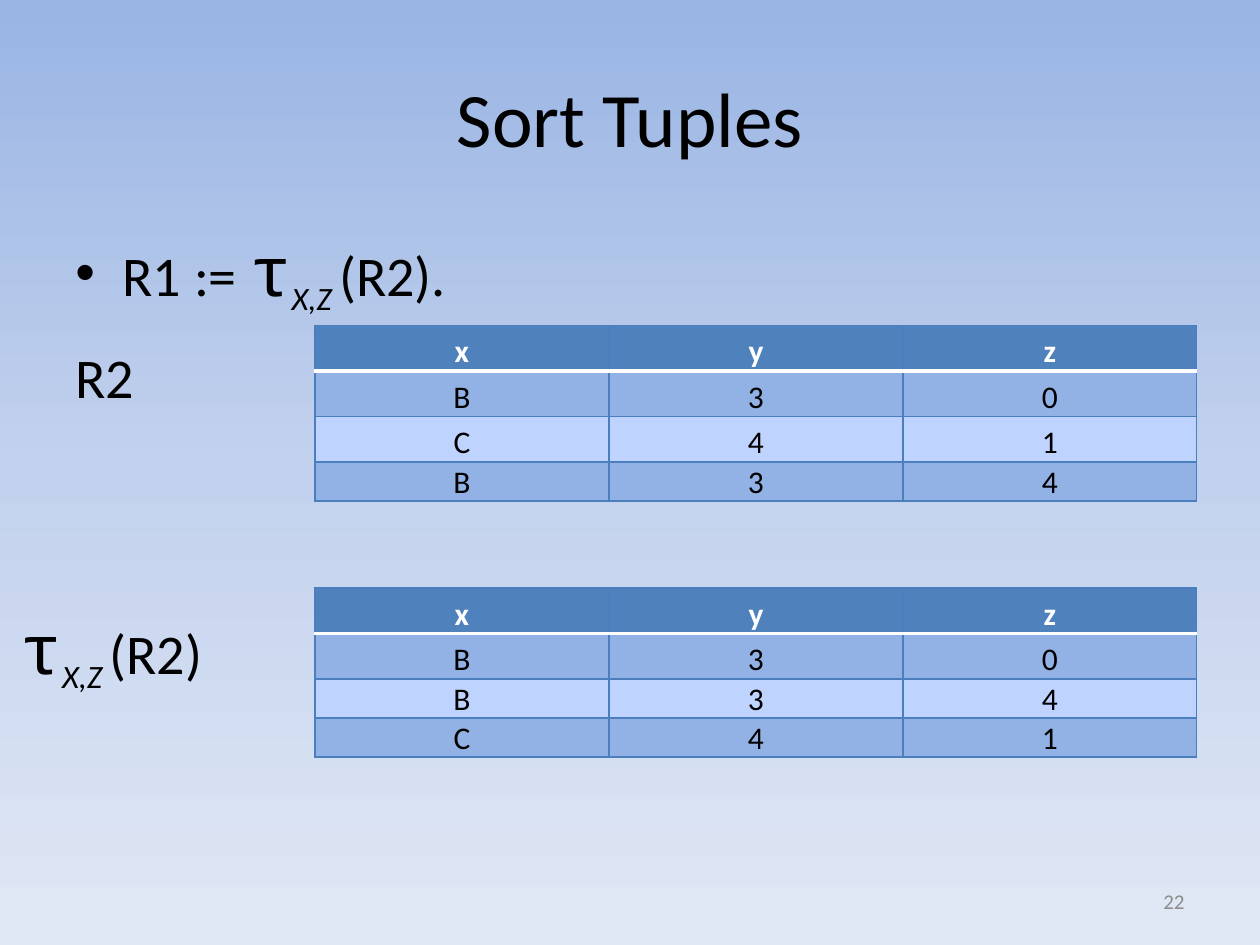
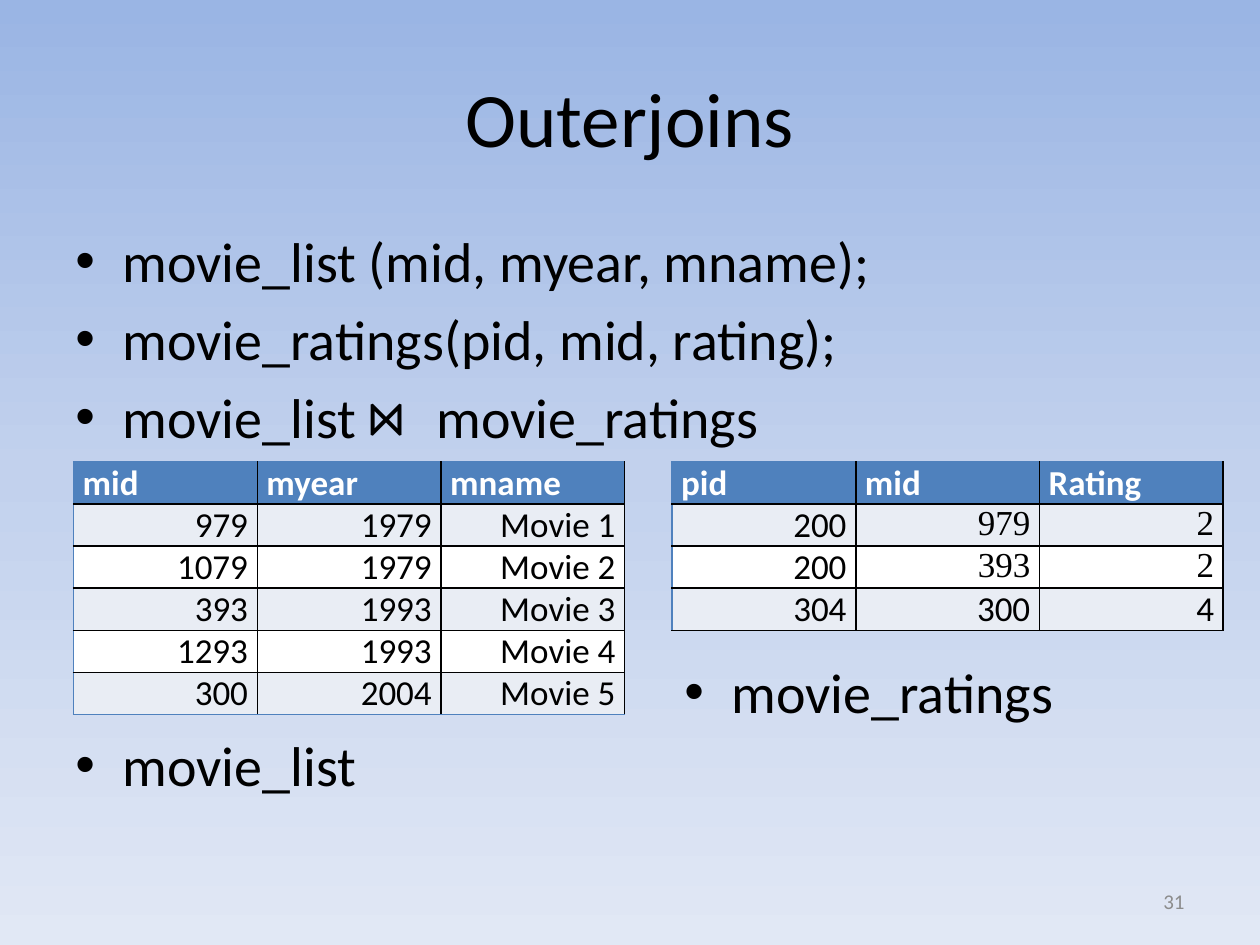
from copy import deepcopy

from lxml import etree
from pptx import Presentation
from pptx.dml.color import RGBColor
from pptx.enum import text as t
from pptx.oxml import ns
from pptx.util import Pt

BLACK = RGBColor(0, 0, 0)
WHITE = RGBColor(255, 255, 255)
GRAY = RGBColor(0x8C, 0x8C, 0x8C)
BLUE = RGBColor(0x4F, 0x81, 0xBD)
EDGE_BLUE = RGBColor(0x4B, 0x7E, 0xBC)
BAND_DARK = RGBColor(0x92, 0xB2, 0xE5)
BAND_LIGHT = RGBColor(0xBF, 0xD3, 0xFF)
PALE = RGBColor(0xE9, 0xED, 0xF4)
SKY = [RGBColor(0x9A, 0xB5, 0xE4), RGBColor(0xC2, 0xD1, 0xED), RGBColor(0xE1, 0xE8, 0xF5)]

FONT, SYMBOL_FONT, SERIF_FONT = "Calibri", "Courier New", "Times New Roman"
LEFT, CENTER, RIGHT = t.PP_ALIGN.LEFT, t.PP_ALIGN.CENTER, t.PP_ALIGN.RIGHT
TOP, MIDDLE, BOTTOM = t.MSO_ANCHOR.TOP, t.MSO_ANCHOR.MIDDLE, t.MSO_ANCHOR.BOTTOM

# The sort operator with its subscript, used in the body and as a label
SORT = [("τ", dict(font=SYMBOL_FONT, size=40)), ("X,Z ", dict(italic=True, baseline=-25))]


def add_span(para, words, font=FONT, size=32, color=BLACK, bold=False, italic=False, baseline=0):
    span = para.add_run()
    span.text = words
    span.font.name, span.font.size = font, Pt(size)
    span.font.color.rgb = color
    span.font.bold, span.font.italic = bold, italic
    if baseline:
        span.font._element.set("baseline", str(baseline * 1000))


def add_bullet(para):
    props = para._p.get_or_add_pPr()
    props.set("marL", str(Pt(27)))
    props.set("indent", str(-Pt(27)))
    etree.SubElement(props, ns.qn("a:buFont")).set("typeface", "Arial")
    etree.SubElement(props, ns.qn("a:buChar")).set("char", "•")


def add_text(page, box, paras, align=LEFT, anchor=TOP, before=6, bullet=False, **style):
    """Each paragraph is a string or a list of (words, format) pairs."""
    frame = page.shapes.add_textbox(*map(Pt, box)).text_frame
    frame.word_wrap = True
    frame.vertical_anchor = anchor
    for index, spans in enumerate(paras):
        para = frame.add_paragraph() if index else frame.paragraphs[0]
        para.alignment, para.space_before = align, Pt(before)
        if bullet:
            add_bullet(para)
        for words, own in [(spans, {})] if isinstance(spans, str) else spans:
            add_span(para, words, **{**style, **own})


def set_edges(cell, edges):
    """Edges maps L, R, T and B to (color, width)."""
    props = cell._tc.get_or_add_tcPr()
    for side in "LRTB":
        color, width = edges[side]
        line = etree.SubElement(props, ns.qn("a:ln" + side), w=str(Pt(width)))
        fill = etree.SubElement(line, ns.qn("a:solidFill"))
        etree.SubElement(fill, ns.qn("a:srgbClr"), val=str(color))


def add_grid(page, box, heights, rows, edges_at, bands, margins, anchor, header_align,
             body_align, size, serif=()):
    left, top, width = box
    grid = page.shapes.add_table(len(rows), len(rows[0]), Pt(left), Pt(top),
                                 Pt(width), Pt(sum(heights))).table
    for column in grid.columns:
        column.width = Pt(width / len(rows[0]))
    for r, row in enumerate(rows):
        grid.rows[r].height = Pt(heights[r])
        for c, words in enumerate(row):
            cell = grid.cell(r, c)
            set_edges(cell, edges_at(r, c))
            cell.fill.solid()
            cell.fill.fore_color.rgb = bands[(r - 1) % 2] if r else BLUE
            cell.vertical_anchor = anchor
            cell.margin_left = cell.margin_right = Pt(margins[0])
            cell.margin_top, cell.margin_bottom = Pt(margins[1]), 0
            para = cell.text_frame.paragraphs[0]
            para.alignment = body_align if r else header_align
            add_span(para, words, size=size, bold=r == 0, color=BLACK if r else WHITE,
                     font=SERIF_FONT if (r, c) in serif else FONT)


def add_tuple_grid(page, box, heights, rows):
    """Centred relation with a white rule under its header."""
    def edges_at(r, c):
        edges = dict.fromkeys("LRTB", (EDGE_BLUE, 0.75))
        if r < 2:
            edges["T" if r else "B"] = (WHITE, 2)
        return edges

    add_grid(page, box, heights, ["xyz"] + rows, edges_at, (BAND_DARK, BAND_LIGHT),
             (0.7, 0.7), BOTTOM, CENTER, CENTER, 18)


def add_movie_grid(page, box, rows, last_edge=BLACK, serif=()):
    """Right-aligned relation, black inside, blue at left and top."""
    def edges_at(r, c):
        edges = dict.fromkeys("LRTB", (BLACK, 1))
        if c == 0:
            edges["L"] = (BLUE, 1)
        if r == 0:
            edges["T"] = (BLUE, 1)
        if r == len(rows) - 1:
            edges["B"] = (last_edge, 1)
        return edges

    add_grid(page, box, [24] * len(rows), rows, edges_at, (PALE, WHITE),
             (5.25, 0), TOP, LEFT, RIGHT, 20, serif)


def set_background(master):
    fill = master.background.fill
    fill.gradient()
    fill.gradient_angle = 270
    stops = master.element.find(".//" + ns.qn("p:bgPr")).find(".//" + ns.qn("a:gsLst"))
    stops.insert(1, deepcopy(stops[0]))
    for index, stop in enumerate(fill.gradient_stops):
        stop.position, stop.color.rgb = index / 2, SKY[index]


def new_page(deck, title, number):
    page = deck.slides.add_slide(deck.slide_layouts[6])
    add_text(page, (36, 21.6, 648, 90), [title], align=CENTER, anchor=MIDDLE, before=0, size=44)
    add_text(page, (516, 500.5, 168, 28.75), [number], align=RIGHT, anchor=MIDDLE, before=0,
             size=12, color=GRAY)
    return page


def sort_page(deck):
    page = new_page(deck, "Sort Tuples", "22")
    add_text(page, (36, 126, 648, 54), [[("R1 := ", {}), *SORT, ("(R2).", {})]], bullet=True)
    # Relation before and after sorting
    add_tuple_grid(page, (180, 186, 504), [26, 26, 26, 22], ["B30", "C41", "B34"])
    add_text(page, (36, 192, 132, 54), ["R2"])
    add_tuple_grid(page, (180, 336, 504), [26, 26, 22, 22], ["B30", "B34", "C41"])
    add_text(page, (4.5, 342, 163.5, 54), [[*SORT, ("(R2)", {})]])


def join_page(deck):
    page = new_page(deck, "Outerjoins", "31")
    add_text(page, (36, 126, 648, 150), [
        "movie_list (mid, myear, mname);",
        "movie_ratings(pid, mid, rating);",
        [("movie_list ", {}), ("⋈ ", dict(font=SYMBOL_FONT)), ("movie_ratings", {})],
    ], bullet=True)
    # The two relations, each with its name below
    add_movie_grid(page, (42, 264, 315), [
        ("mid", "myear", "mname"),
        ("979", "1979", "Movie 1"),
        ("1079", "1979", "Movie 2"),
        ("393", "1993", "Movie 3"),
        ("1293", "1993", "Movie 4"),
        ("300", "2004", "Movie 5"),
    ], last_edge=BLUE)
    add_movie_grid(page, (384, 264, 315), [
        ("pid", "mid", "Rating"),
        ("200", "979", "2"),
        ("200", "393", "2"),
        ("304", "300", "4"),
    ], serif={(1, 1), (1, 2), (2, 1), (2, 2)})
    add_text(page, (36, 414, 324, 54), ["movie_list"], bullet=True)
    add_text(page, (384, 372, 324, 54), ["movie_ratings"], bullet=True)


deck = Presentation()
deck.slide_width, deck.slide_height = Pt(720), Pt(540)
set_background(deck.slide_master)
sort_page(deck)
join_page(deck)
deck.save("out.pptx")
